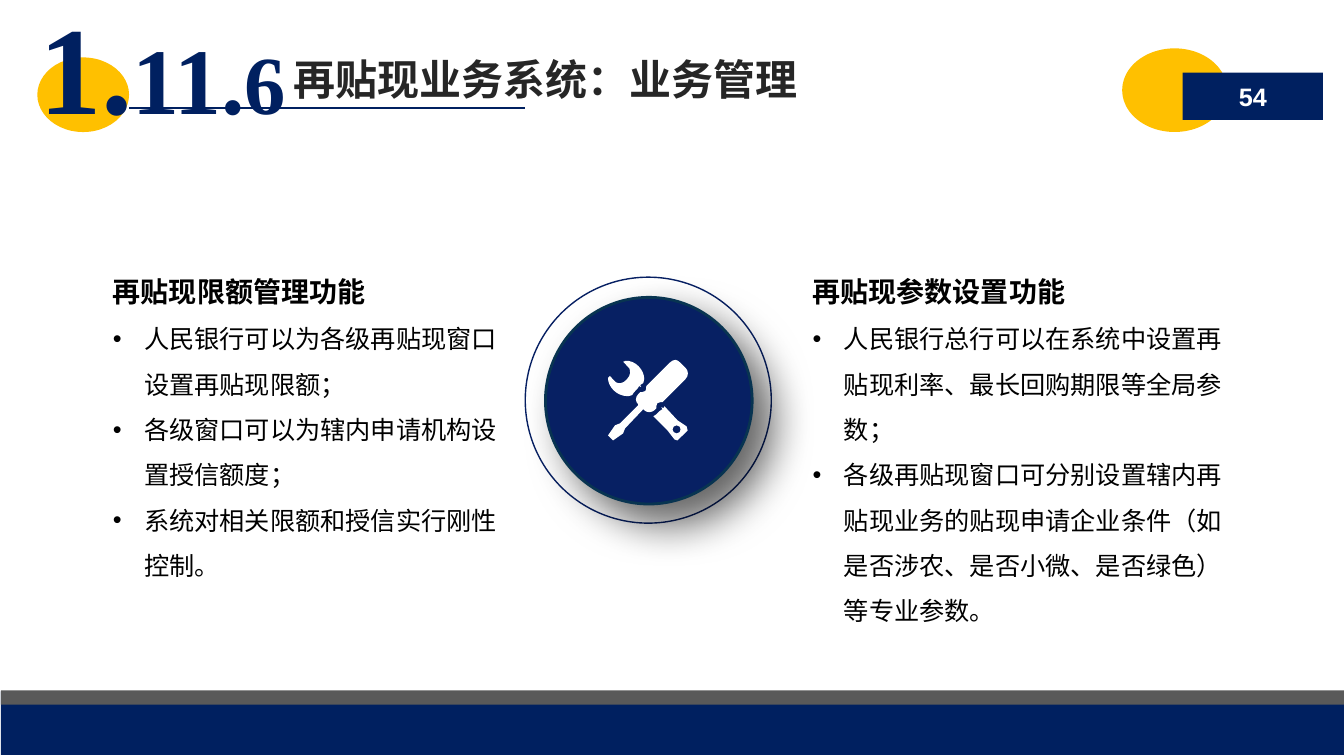
from dataclasses import dataclass

from lxml.etree import SubElement
from pptx import Presentation
from pptx.dml.color import RGBColor
from pptx.enum.shapes import MSO_CONNECTOR as CONN, MSO_SHAPE as SHAPE
from pptx.enum.text import MSO_ANCHOR as ANCHOR, MSO_AUTO_SIZE as AUTO, PP_ALIGN as ALIGN
from pptx.oxml.ns import qn
from pptx.util import Emu, Pt

EMU_PER_PX = 9144  # 100 px to the inch


@dataclass(frozen=True)
class Theme:
    navy: str = "002060"
    disc: str = "072063"
    disc_edge: str = "083451"
    gold: str = "FFC000"
    grey: str = "595959"
    title: str = "262626"
    black: str = "000000"
    white: str = "FFFFFF"
    cjk: str = "Noto Sans CJK SC"
    latin: str = "Arial"
    serif: str = "Times New Roman"
    title_size: int = 30
    heading_size: int = 20
    body_size: int = 18
    number_sizes: tuple[int, ...] = (89, 67, 59)


@dataclass(frozen=True)
class Box:
    x: int
    y: int
    w: int
    h: int

    def emu(self) -> tuple[Emu, ...]:
        return tuple(px(v) for v in (self.x, self.y, self.w, self.h))


@dataclass(frozen=True)
class Shape:
    kind: SHAPE
    box: Box
    fill: str
    line: str | None = None
    weight: float = 0


@dataclass(frozen=True)
class Column:
    box: Box
    heading: str
    bullets: tuple[str, ...]


T = Theme()

BACKDROP = (
    Shape(SHAPE.RECTANGLE, Box(1, 686, 1332, 63), T.navy),
    Shape(SHAPE.RECTANGLE, Box(1, 685, 1332, 14), T.grey),
    Shape(SHAPE.RECTANGLE, Box(1182, 59, 8, 47), T.navy),
    Shape(SHAPE.RECTANGLE, Box(1171, 81, 7, 25), T.navy),
    Shape(SHAPE.OVAL, Box(37, 57, 91, 74), T.gold),
    Shape(SHAPE.OVAL, Box(1113, 48, 104, 83), T.gold),
)
PAGE_TAG = Shape(SHAPE.RECTANGLE, Box(1173, 72, 139, 47), T.navy)
RING = Shape(SHAPE.OVAL, Box(521, 275, 244, 244), T.white, T.disc, 1)
DISC = Shape(SHAPE.OVAL, Box(541, 295, 205, 205), T.disc, T.disc_edge, 2)

COLUMNS = (
    Column(Box(100, 250, 417, 336), "再贴现限额管理功能", (
        "人民银行可以为各级再贴现窗口设置再贴现限额；",
        "各级窗口可以为辖内申请机构设置授信额度；",
        "系统对相关限额和授信实行刚性控制。",
    )),
    Column(Box(794, 250, 432, 381), "再贴现参数设置功能", (
        "人民银行总行可以在系统中设置再贴现利率、最长回购期限等全局参数；",
        "各级再贴现窗口可分别设置辖内再贴现业务的贴现申请企业条件"
        "（如是否涉农、是否小微、是否绿色）等专业参数。",
    )),
)

# Outlines in px: a pair is a line point, six numbers are a cubic curve
HANDLE_HOLE = ("671 422, 674 422 675 424 675 426, 675 428 674 430 671 430, "
               "669 430 667 428 667 426, 667 424 669 422 671 422")
WRENCH_HANDLE = ("656 404, 657 406, 654 408, 652 410, 651 411 650 412 648 413, 662 427, "
                 "669 436, 672 437, 682 427, 681 423, 672 417, 659 403, 658 405, 656 404")
WRENCH_HEAD = ("632 386, 634 383, 636 384, 635 382, 638 380, 638 380, 638 379 639 377 639 376, "
               "639 367 630 357 620 358, 620 358 619 359 618 359, 626 367 625 366 625 370, "
               "625 374 619 380 616 380, 611 380 612 381 605 373, 604 374 603 375 603 375, "
               "603 384 612 393 622 393, 623 393 625 393 627 392, 627 392, "
               "628 390 629 389 630 388, 632 386")
SCREWDRIVER = ("680 365, 675 360, 673 358 671 357 670 357, 668 357 666 358 664 360, 641 383, "
               "641 385 641 387 640 388, 639 389 638 389 637 389, 636 389 636 389 635 389, "
               "633 391, 630 394 630 399 633 401, 633 402, 615 420, 610 422, 603 432, 608 437, "
               "618 430, 620 425, 638 406, 639 407, 640 408 642 409 644 409, "
               "646 409 648 408 649 407, 651 405, 651 404 651 401 652 400, "
               "653 400 654 399 655 399, 656 399 656 399 657 399, 680 376, "
               "683 373 683 368 680 365")
TOOLS = (HANDLE_HOLE, WRENCH_HANDLE, WRENCH_HEAD, SCREWDRIVER)


def px(value: int) -> Emu:
    return Emu(value * EMU_PER_PX)


def rgb(color: str) -> RGBColor:
    return RGBColor.from_string(color)


def add_text(p, text: str, *, size: int, color: str, font: str = T.cjk, bold: bool = False) -> None:
    r = p.add_run()
    r.text = text
    r.font.size, r.font.bold, r.font.name = Pt(size), bold, font
    r.font.color.rgb = rgb(color)
    SubElement(r._r.get_or_add_rPr(), qn("a:ea"), typeface=font)


def set_frame(tf, *, left: int = 12, side: int = 12, edge: int = 6,
              anchor: ANCHOR = ANCHOR.TOP, auto: AUTO = AUTO.NONE) -> None:
    tf.word_wrap, tf.vertical_anchor, tf.auto_size = True, anchor, auto
    tf.margin_left, tf.margin_right = px(left), px(side)
    tf.margin_top = tf.margin_bottom = px(edge)


def add_box(slide, box: Box):
    tf = slide.shapes.add_textbox(*box.emu()).text_frame
    set_frame(tf, auto=AUTO.SHAPE_TO_FIT_TEXT)
    return tf


def paint(sp, fill: str, line: str | None = None, weight: float = 0) -> None:
    sp.shadow.inherit = False
    sp.fill.solid()
    sp.fill.fore_color.rgb = rgb(fill)
    if line is None:
        sp.line.fill.background()
    else:
        sp.line.color.rgb, sp.line.width = rgb(line), Pt(weight)


def add_shape(slide, item: Shape):
    sp = slide.shapes.add_shape(item.kind, *item.box.emu())
    paint(sp, item.fill, item.line, item.weight)
    return sp


def cast_shadow(sp) -> None:
    effects = sp._element.spPr.find(qn("a:effectLst"))
    shadow = SubElement(effects, qn("a:outerShdw"), blurRad=str(Pt(30)), dist=str(Pt(20)),
                        dir=str(45 * 60000), algn="tl", rotWithShape="0")
    color = SubElement(shadow, qn("a:srgbClr"), val=T.black)
    SubElement(color, qn("a:alpha"), val="60000")


def segments(text: str) -> list[list[tuple[int, int]]]:
    parts = [[px(int(v)) for v in part.split()] for part in text.split(",")]
    return [list(zip(n[::2], n[1::2])) for n in parts]


def add_tools(slide) -> None:
    contours = [segments(text) for text in TOOLS]
    builder = slide.shapes.build_freeform(*contours[0][0][0], scale=1.0)
    for i, contour in enumerate(contours):
        if i:
            builder.move_to(*contour[0][0])
        builder.add_line_segments([seg[-1] for seg in contour[1:]], close=True)
    sp = builder.convert_to_shape()
    paint(sp, T.white)
    # Bend the segments that have control points
    edges = list(sp._element.iter(qn("a:lnTo")))
    for edge, seg in zip(edges, [seg for contour in contours for seg in contour[1:]]):
        if len(seg) == 3:
            edge.tag = qn("a:cubicBezTo")
            edge.remove(edge[0])
            for x, y in seg:
                SubElement(edge, qn("a:pt"), x=str(x - sp.left), y=str(y - sp.top))


def add_column(slide, column: Column) -> None:
    tf = add_box(slide, column.box)
    p = tf.paragraphs[0]
    p.line_spacing = 1.5
    add_text(p, column.heading, size=T.heading_size, color=T.black, bold=True)
    for text in column.bullets:
        p = tf.add_paragraph()
        p.line_spacing = 1.5
        pPr = p._p.get_or_add_pPr()
        pPr.set("marL", str(px(31)))
        pPr.set("indent", str(px(-31)))
        SubElement(pPr, qn("a:buFont"), typeface=T.latin)
        SubElement(pPr, qn("a:buChar"), char="•")
        add_text(p, text, size=T.body_size, color=T.black)


def add_title(slide) -> None:
    sp = slide.shapes.title
    sp.left, sp.top, sp.width, sp.height = Box(262, 48, 743, 61).emu()
    set_frame(sp.text_frame, left=29, side=10, edge=5)
    p = sp.text_frame.paragraphs[0]
    p.alignment = ALIGN.LEFT
    add_text(p, "再贴现业务系统：业务管理", size=T.title_size, color=T.title, bold=True)


def main() -> None:
    prs = Presentation()
    prs.slide_width, prs.slide_height = px(1333), px(750)
    slide = prs.slides.add_slide(prs.slide_layouts[5])
    # Footer bars, gold ovals and title rule
    for item in BACKDROP:
        add_shape(slide, item)
    rule = slide.shapes.add_connector(CONN.STRAIGHT, px(128), px(107), px(521), px(107))
    rule.line.color.rgb, rule.line.width = rgb(T.navy), Pt(1.5)
    SubElement(rule._element.spPr, qn("a:effectLst"))
    # Title, page tag and section number
    add_title(slide)
    tf = add_shape(slide, PAGE_TAG).text_frame
    set_frame(tf, anchor=ANCHOR.MIDDLE)
    p = tf.paragraphs[0]
    p.alignment = ALIGN.CENTER
    add_text(p, "54", size=T.body_size, color=T.white, font=T.latin, bold=True)
    p = add_box(slide, Box(27, -16, 282, 162)).paragraphs[0]
    for text, size in zip(("1.", "11.", "6"), T.number_sizes):
        add_text(p, text, size=size, color=T.navy, font=T.serif, bold=True)
    # Two columns of functions
    for column in COLUMNS:
        add_column(slide, column)
    # Central emblem
    add_shape(slide, RING)
    cast_shadow(add_shape(slide, DISC))
    add_tools(slide)
    prs.save("out.pptx")


if __name__ == "__main__":
    main()
